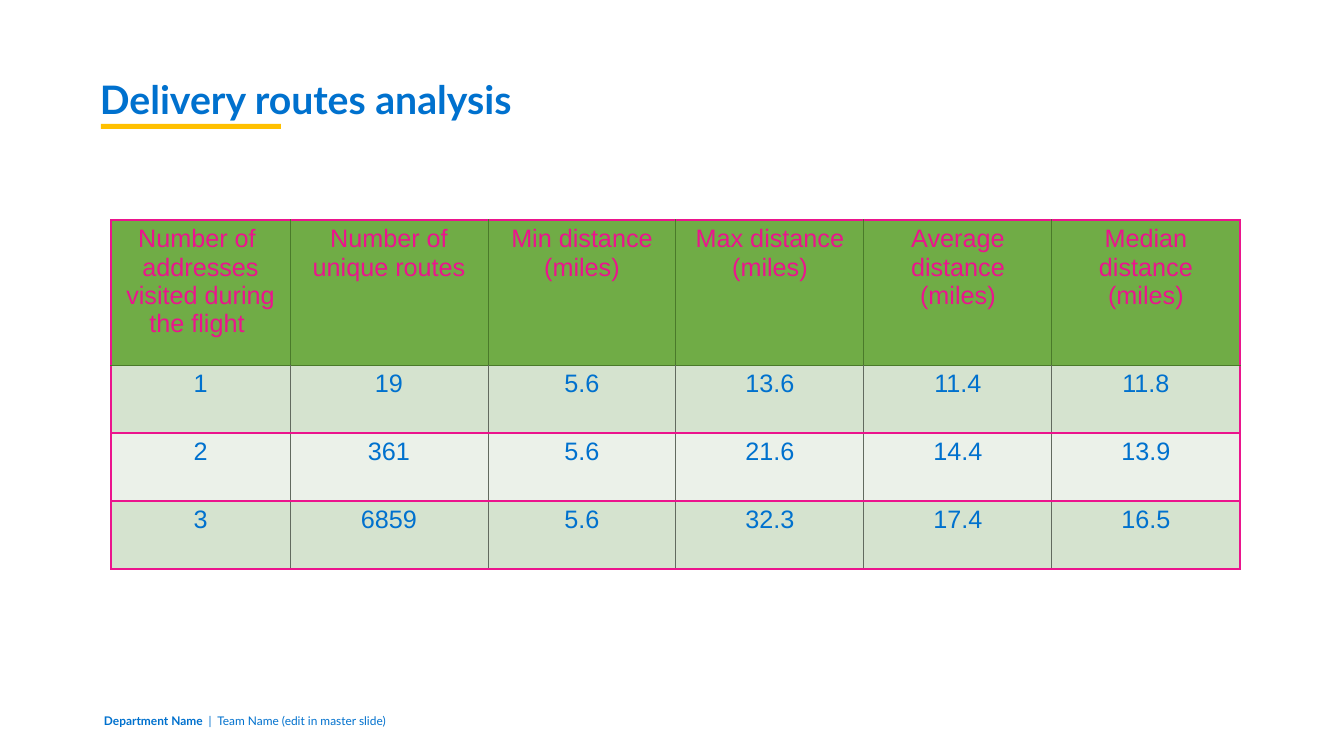
from lxml import etree
from pptx import Presentation, util as u
from pptx.dml.color import RGBColor
from pptx.enum import shapes, text
from pptx.oxml import ns

PX = 914400 / 100.8
BLUE = RGBColor(0x00, 0x71, 0xCE)
YELLOW = RGBColor(0xFF, 0xC0, 0x00)
PINK = RGBColor(0xEB, 0x14, 0x8D)
GREEN = RGBColor(0x70, 0xAC, 0x46)
BANDS = [RGBColor(0xD5, 0xE3, 0xCF), RGBColor(0xEB, 0xF1, 0xE9)]
DARK_GREEN = RGBColor(0x4A, 0x7A, 0x2A)
GRAY = RGBColor(0x62, 0x6A, 0x5F)


def px(*lengths):
    return [u.Emu(round(length * PX)) for length in lengths]


def add_run(para, words, font, size, color, bold=False):
    span = para.add_run()
    span.text = words
    span.font.name = font
    span.font.size = u.Pt(size)
    span.font.bold = bold
    span.font.color.rgb = color


deck = Presentation()
deck.slide_width, deck.slide_height = px(1344, 756)
page = deck.slides.add_slide(deck.slide_layouts[6])

# Footer
footer = page.shapes.add_textbox(*px(94, 710, 351, 24)).text_frame
footer.word_wrap = True
footer.vertical_anchor = text.MSO_ANCHOR.MIDDLE
footer.paragraphs[0].line_spacing = 0.9
add_run(footer.paragraphs[0], "Department Name  ", "Lato", 8.5, BLUE, True)
add_run(footer.paragraphs[0], "|  Team Name (edit in master slide)", "Lato", 8.5, BLUE)

# Title and its underline
rule = page.shapes.add_shape(shapes.MSO_SHAPE.RECTANGLE, *px(101, 124, 180, 5))
rule.shadow.inherit = False
rule.fill.solid()
rule.fill.fore_color.rgb = YELLOW
rule.line.fill.background()

title = page.shapes.add_textbox(*px(90, 70, 1150, 57)).text_frame
title.word_wrap = True
add_run(title.paragraphs[0], "Delivery routes analysis", "Lato", 28, BLUE, True)

# Route table
ROUTES = [
    ["Number of \naddresses visited during the flight ", "Number of unique routes",
     "Min distance (miles)", "Max distance (miles)",
     "Average distance (miles)", "Median distance (miles)"],
    ["1", "19", "5.6", "13.6", "11.4", "11.8"],
    ["2", "361", "5.6", "21.6", "14.4", "13.9"],
    ["3", "6859", "5.6", "32.3", "17.4", "16.5"],
]
WIDTHS = [179, 198] + [188] * 4
HEIGHTS = [145] + [68] * 3
table = page.shapes.add_table(
    len(HEIGHTS), len(WIDTHS), *px(111, 220, sum(WIDTHS), sum(HEIGHTS))).table
table.horz_banding = False
for column, width in zip(table.columns, px(*WIDTHS)):
    column.width = width
for row, height in zip(table.rows, px(*HEIGHTS)):
    row.height = height

last = len(WIDTHS) - 1
for r, values in enumerate(ROUTES):
    inner = GRAY if r else DARK_GREEN
    for c, value in enumerate(values):
        cell = table.cell(r, c)

        # Borders: pink frame and row lines, thin dark lines elsewhere
        borders = {
            "a:lnL": (PINK, 1.5) if c == 0 else (inner, 0.75),
            "a:lnR": (PINK, 1) if c == last else (inner, 0.75),
            "a:lnT": (DARK_GREEN, 0.75) if r == 1 else (PINK, 1.5 if r else 1),
            "a:lnB": (PINK, 1.5) if r else (DARK_GREEN, 0.75),
        }
        props = cell._tc.get_or_add_tcPr()
        for side, (color, weight) in borders.items():
            line = etree.SubElement(props, ns.qn(side), w=str(u.Pt(weight)))
            solid = etree.SubElement(line, ns.qn("a:solidFill"))
            etree.SubElement(solid, ns.qn("a:srgbClr"), val=str(color))

        cell.fill.solid()
        cell.fill.fore_color.rgb = BANDS[(r - 1) % 2] if r else GREEN

        frame = cell.text_frame
        for i, words in enumerate(value.split("\n")):
            para = frame.add_paragraph() if i else frame.paragraphs[0]
            para.alignment = text.PP_ALIGN.CENTER
            add_run(para, words, "Arial", 18, BLUE if r else PINK)

deck.save("out.pptx")
